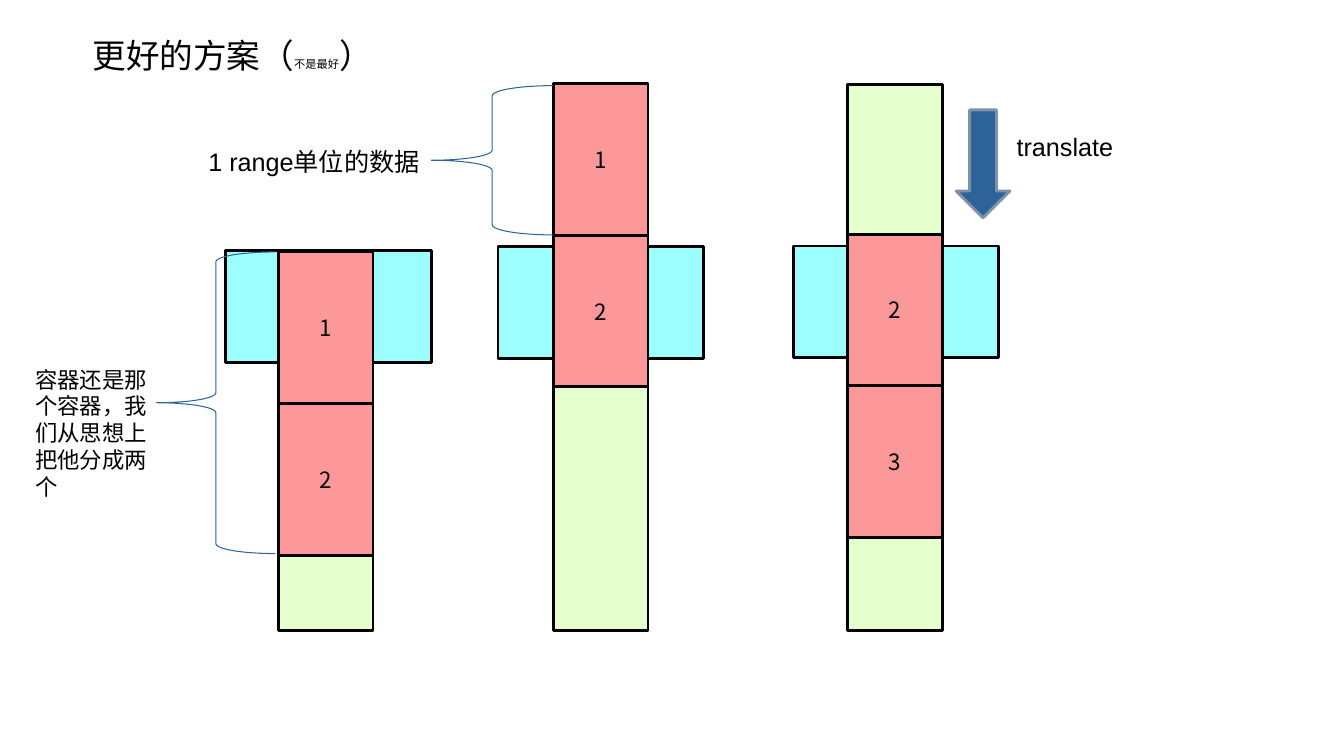
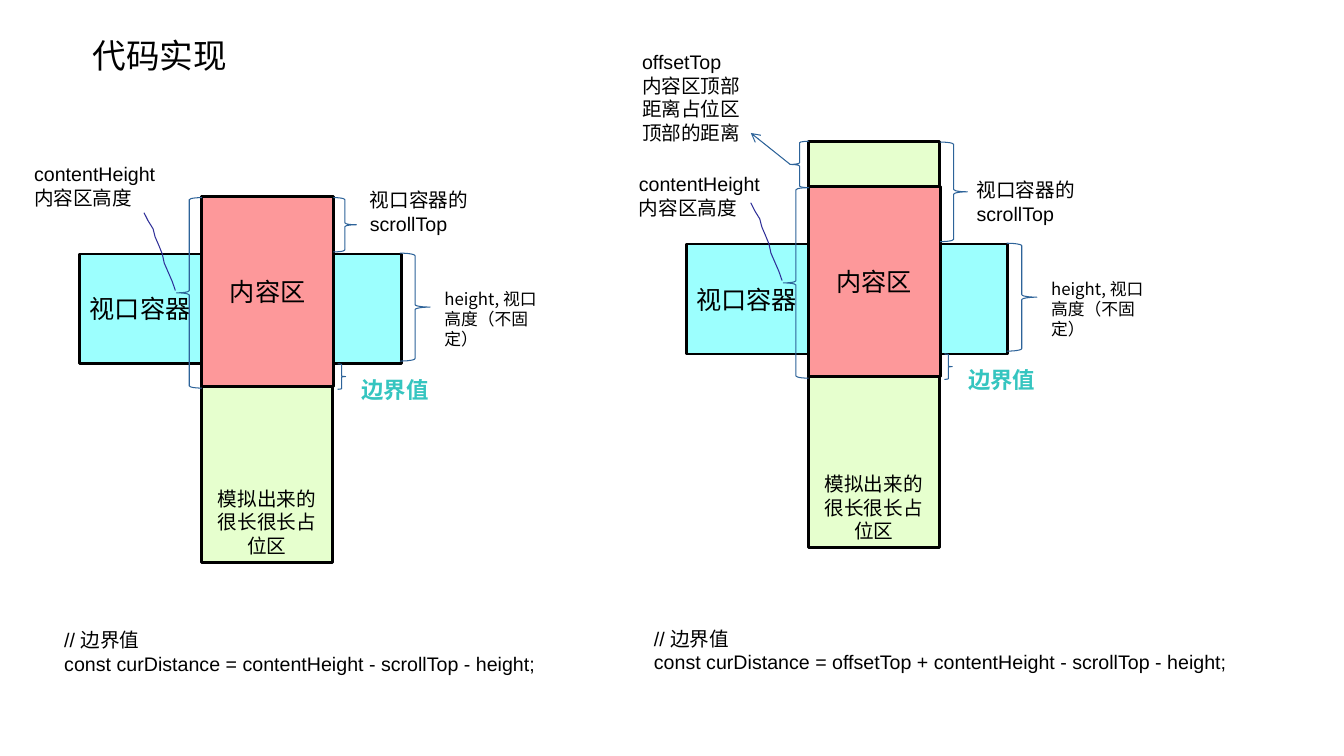
from dataclasses import dataclass
from lxml.etree import SubElement
from pptx import Presentation
from pptx.dml.color import RGBColor
from pptx.enum.shapes import MSO_CONNECTOR, MSO_SHAPE as Preset
from pptx.enum.text import MSO_ANCHOR as Anchor, MSO_AUTO_SIZE as AutoSize, PP_ALIGN as Align
from pptx.oxml.ns import qn
from pptx.util import Cm, Pt


@dataclass(frozen=True)
class Theme:
    ink: str = "000000"
    viewport: str = "9CFFFE"
    spacer: str = "E6FFCE"
    content: str = "FD989A"
    accent: str = "2D6399"
    arrow_edge: str = "7C92A9"
    curve: str = "2F2F98"
    edge_label: str = "35C5C0"
    latin: str = "Arial"
    cjk: str = "Noto Sans CJK SC"
    title: int = 24
    large: int = 18
    medium: int = 16
    body: int = 14
    small: int = 12
    tiny: int = 8
    outline: float = 2
    thin: float = 0.75


theme = Theme()


def draw(slide, preset, box, fill=None, line=theme.ink, width=theme.outline):
    shape = slide.shapes.add_shape(preset, *map(Cm, box))
    shape.shadow.inherit = False
    if fill:
        shape.fill.solid()
        shape.fill.fore_color.rgb = RGBColor.from_string(fill)
    else:
        shape.fill.background()
    shape.line.color.rgb = RGBColor.from_string(line)
    shape.line.width = Pt(width)
    return shape


def write(frame, text, size, face=theme.latin, color=theme.ink, align=Align.LEFT, anchor=Anchor.TOP, bold=False):
    frame.text = text
    frame.word_wrap = True
    frame.auto_size = AutoSize.NONE
    frame.vertical_anchor = anchor
    for paragraph in frame.paragraphs:
        paragraph.alignment = align
        for run in paragraph.runs:
            run.font.size = Pt(size)
            run.font.name = face
            run.font.bold = bold
            run.font.color.rgb = RGBColor.from_string(color)


deck = Presentation()
deck.slide_width, deck.slide_height = Cm(33.87), Cm(19.05)

slides = []
for heading in ("更好的方案（不是最好）", "代码实现"):
    slide = deck.slides.add_slide(deck.slide_layouts[5])
    title = slide.shapes.title
    title.left, title.top, title.width, title.height = map(Cm, (2.08, 0.75, 7.57, 1.35))
    write(title.text_frame, heading, theme.title, theme.cjk)
    slides.append(slide)
plan, code = slides

opening = plan.shapes.title.text_frame.paragraphs[0]
opening.runs[0].text = "更好的方案（"
for part, size in (("不是最好", theme.tiny), ("）", theme.title)):
    run = opening.add_run()
    run.text = part
    run.font.size = Pt(size)
    run.font.name = theme.cjk
    run.font.color.rgb = RGBColor.from_string(theme.ink)

tower_width, block_height, tower_bottom = 2.39, 3.82, 15.88
towers = [
    (7.01, 6.4, 5.69, 6.32, 6.35, "12"),
    (13.94, 2.16, 12.55, 6.22, 2.11, "12"),
    (21.36, 2.13, 19.99, 6.2, 5.9, "23"),
]
for left, top, viewport_left, viewport_top, first_block, numbers in towers:
    draw(plan, Preset.RECTANGLE, (viewport_left, viewport_top, 5.18, 2.82), theme.viewport)
    draw(plan, Preset.RECTANGLE, (left, top, tower_width, tower_bottom - top), theme.spacer)
    for step, number in enumerate(numbers):
        box = (left, first_block + step * block_height, tower_width, block_height)
        block = draw(plan, Preset.RECTANGLE, box, theme.content)
        write(block.text_frame, number, theme.medium, theme.cjk, align=Align.CENTER, anchor=Anchor.MIDDLE)

for box in ((10.87, 2.16, 3.07, 3.76), (3.94, 6.35, 3, 7.6)):
    draw(plan, Preset.LEFT_BRACE, box, line=theme.accent, width=theme.thin)
draw(plan, Preset.DOWN_ARROW, (24.1, 2.77, 1.35, 2.72), theme.accent, theme.arrow_edge)

for text, box, size in (
    ("1 range单位的数据", (5, 3.56, 5.84, 1.02), theme.large),
    ("translate", (25.37, 3.18, 3.78, 1.02), theme.large),
    ("容器还是那个容器，我们从思想上把他分成两个", (0.64, 9.09, 3.84, 3.63), theme.medium),
):
    write(plan.shapes.add_textbox(*map(Cm, box)).text_frame, text, size)

curve = [(4.42, 7.32), (4.34, 7.09), (4.24, 6.86), (4.14, 6.63), (4.09, 6.4),
         (4.01, 6.2), (3.91, 5.97), (3.86, 5.77), (3.73, 5.56), (3.63, 5.36)]
diagrams = [
    (0, 0, (5, 9.17), (4.98, 0.58, 1.37), (0.61, 3.96), (1.37, 15.7, 12.42), ""),
    (15.29, -0.25, (3.56, 10.24), (3.58, 0.69, 2.51), (15.85, 4.22), (16.23, 15.67, 16.33), "offsetTop + "),
]
for dx, dy, spacer, scroll, height_label, formula, offset_term in diagrams:
    spacer_top, spacer_height = spacer
    scroll_top, scroll_width, scroll_height = scroll
    formula_left, formula_top, formula_width = formula

    for text, box, fill, size, align, anchor in (
        ("视口容器", (2.01 + dx, 6.4 + dy, 8.1, 2.77), theme.viewport, theme.large, Align.LEFT, Anchor.MIDDLE),
        ("模拟出来的很长很长占位区", (5.08 + dx, spacer_top, 3.3, spacer_height), theme.spacer,
         theme.body, Align.CENTER, Anchor.BOTTOM),
        ("内容区", (5.08 + dx, 4.96 + dy, 3.33, 4.78), theme.content, theme.large, Align.CENTER, Anchor.MIDDLE),
    ):
        area = draw(code, Preset.RECTANGLE, box, fill)
        write(area.text_frame, text, size, theme.cjk, align=align, anchor=anchor)

    for preset, box in (
        (Preset.RIGHT_BRACE, (8.4 + dx, scroll_top, scroll_width, scroll_height)),
        (Preset.RIGHT_BRACE, (10.08 + dx, 6.38 + dy, 0.76, 2.72)),
        (Preset.LEFT_BRACE, (4.45 + dx, 4.98 + dy, 0.64, 4.8)),
        (Preset.RIGHT_BRACE, (8.51 + dx, 9.17 + dy, 0.2, 0.64)),
    ):
        draw(code, preset, box, line=theme.accent, width=theme.thin)

    points = [(Cm(x + dx), Cm(y + dy)) for x, y in curve]
    builder = code.shapes.build_freeform(*points[0])
    builder.add_line_segments(points[1:], close=False)
    pointer = builder.convert_to_shape()
    pointer.shadow.inherit = False
    pointer.fill.background()
    pointer.line.color.rgb = RGBColor.from_string(theme.curve)
    pointer.line.width = Pt(theme.thin)

    for text, box, size, face in (
        ("视口容器的scrollTop", (9.07 + dx, 4.62 + dy, 3.05, 1.45), theme.body, theme.latin),
        ("height, 视口高度（不固定）", (10.95 + dx, 7.14 + dy, 3.1, 1.3), theme.small, theme.cjk),
        ("contentHeight内容区高度", (*height_label, 3.73, 1.45), theme.body, theme.latin),
        (f"// 边界值\nconst curDistance = {offset_term}contentHeight - scrollTop - height;",
         (formula_left, formula_top, formula_width, 1.45), theme.body, theme.latin),
    ):
        write(code.shapes.add_textbox(*map(Cm, box)).text_frame, text, size, face)
    edge = code.shapes.add_textbox(*map(Cm, (8.86 + dx, 9.35 + dy, 2.21, 0.94)))
    write(edge.text_frame, "边界值", theme.medium, color=theme.edge_label, bold=True)

draw(code, Preset.LEFT_BRACE, (19.91, 3.56, 0.48, 1.17), line=theme.accent, width=theme.thin)
offset_arrow = code.shapes.add_connector(MSO_CONNECTOR.STRAIGHT, *map(Cm, (19.91, 4.14, 18.92, 3.35)))
offset_arrow.line.color.rgb = RGBColor.from_string(theme.accent)
offset_arrow.line.width = Pt(theme.thin)
SubElement(offset_arrow.line._get_or_add_ln(), qn("a:tailEnd"), type="arrow")
SubElement(offset_arrow._element.spPr, qn("a:effectLst"))
offset_label = code.shapes.add_textbox(*map(Cm, (15.93, 1.14, 3.33, 2.62)))
write(offset_label.text_frame, "offsetTop\n内容区顶部距离占位区顶部的距离", theme.body)

deck.save("out.pptx")
